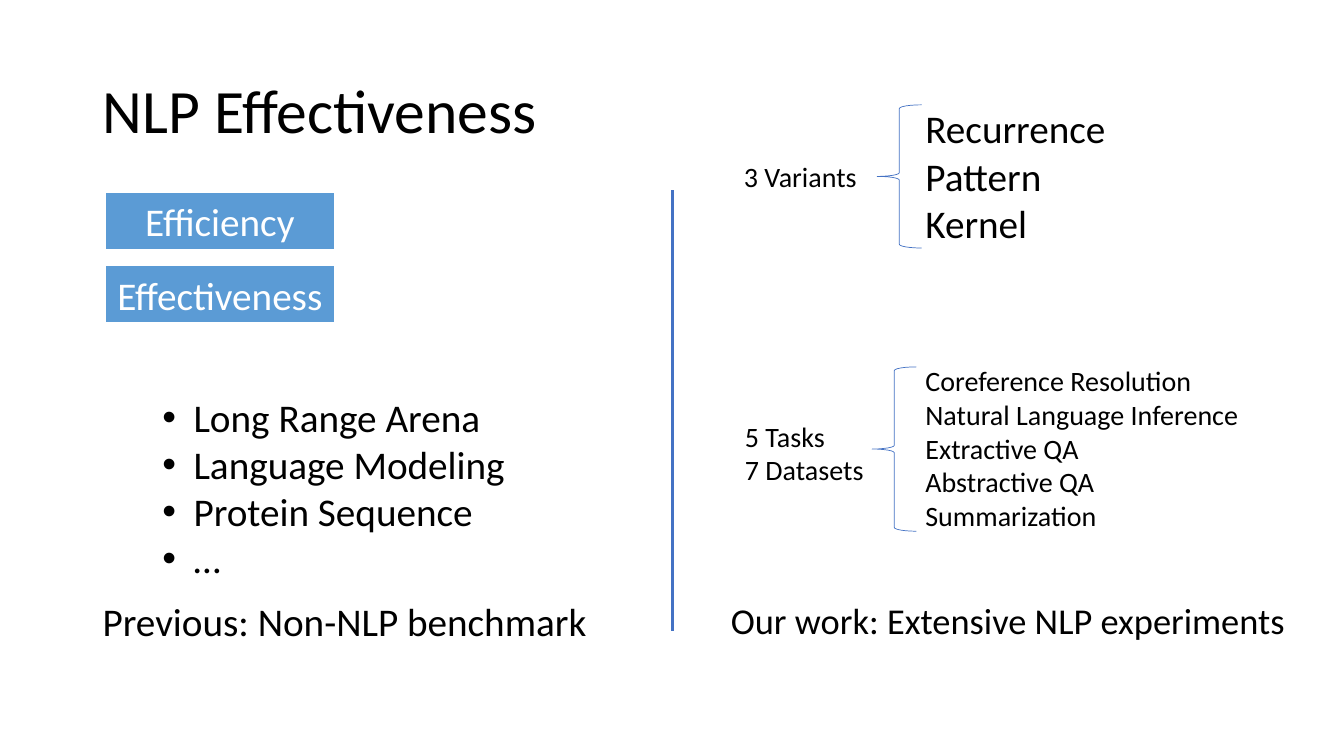
from lxml import etree
from pptx import Presentation
from pptx.dml.color import RGBColor
from pptx.enum.shapes import MSO_CONNECTOR, MSO_SHAPE
from pptx.enum.text import MSO_ANCHOR, MSO_AUTO_SIZE, PP_ALIGN
from pptx.oxml.ns import qn
from pptx.util import Inches, Pt

RECT, BRACE = MSO_SHAPE.RECTANGLE, MSO_SHAPE.LEFT_BRACE
STRAIGHT = MSO_CONNECTOR.STRAIGHT
TOP, MIDDLE = MSO_ANCHOR.TOP, MSO_ANCHOR.MIDDLE
LEFT, CENTER = PP_ALIGN.LEFT, PP_ALIGN.CENTER
NO_FIT = MSO_AUTO_SIZE.NONE

COLORS = {"text": "000000", "white": "FFFFFF", "box": "5B9BD5", "line": "4472C4"}
COLORS = {name: RGBColor.from_string(code) for name, code in COLORS.items()}


def write(shape, text, size=28, color="text", align=LEFT, anchor=TOP,
          wrap=True, spacing=1.0, bullet=False):
    frame = shape.text_frame
    frame.text = text
    frame.word_wrap = wrap
    frame.auto_size = NO_FIT
    frame.vertical_anchor = anchor
    for par in frame.paragraphs:
        if bullet:
            props = par._p.get_or_add_pPr()
            props.set("marL", str(Inches(0.31)))
            props.set("indent", str(Inches(-0.31)))
            etree.SubElement(props, qn("a:buFont"), typeface="Arial")
            etree.SubElement(props, qn("a:buChar"), char="•")
        par.alignment = align
        par.line_spacing = spacing
        par.space_before = Pt(0)
        par.font.name = "Calibri"
        par.font.size = Pt(size)
        par.font.color.rgb = COLORS[color]


def place(shape, *spot):
    """Move and size a placeholder, in inches."""
    shape.left, shape.top, shape.width, shape.height = map(Inches, spot)


prs = Presentation()
prs.slide_width, prs.slide_height = Inches(13.33), Inches(7.5)
slide = prs.slides.add_slide(prs.slide_layouts[1])
shapes = slide.shapes

# Title and list of earlier benchmarks
title, body = shapes.title, slide.placeholders[1]
place(title, 0.92, 0.4, 11.5, 1.45)
write(title, "NLP Effectiveness", size=44, anchor=MIDDLE, spacing=0.9)
place(body, 1.51, 3.85, 3.63, 1.99)
write(body, "Long Range Arena\nLanguage Modeling\nProtein Sequence\n…",
      wrap=False, bullet=True)

# Goal boxes
for row, goal in enumerate(["Efficiency", "Effectiveness"]):
    box = shapes.add_shape(RECT, Inches(1.04), Inches(1.9 + 0.73 * row),
                           Inches(2.28), Inches(0.58))
    box.shadow.inherit = False
    box.fill.solid()
    box.fill.fore_color.rgb = COLORS["box"]
    box.line.color.rgb = COLORS["white"]
    box.line.width = Pt(1.5)
    write(box, goal, color="white", align=CENTER, anchor=MIDDLE)

# Divider between the two halves
rule = shapes.add_connector(STRAIGHT, Inches(6.67), Inches(1.89),
                            Inches(6.67), Inches(6.26))
rule.line.color.rgb = COLORS["line"]
rule.line.width = Pt(1.5)
etree.SubElement(rule._element.spPr, qn("a:effectLst"))

# Braces
for left, top, height in [(8.7, 1.04, 1.42), (8.65, 3.64, 1.63)]:
    brace = shapes.add_shape(BRACE, Inches(left), Inches(top),
                             Inches(0.44), Inches(height))
    brace.shadow.inherit = False
    brace.fill.background()
    brace.line.color.rgb = COLORS["line"]
    brace.line.width = Pt(0.5)

# Captions, brace labels and brace items
tasks = ("Coreference Resolution\nNatural Language Inference\n"
         "Extractive QA\nAbstractive QA\nSummarization")
labels = [
    ("Previous: Non-NLP benchmark", 28, True, (0.92, 5.88, 5.14, 0.57)),
    ("Our work: Extensive NLP experiments", 26, True, (7.15, 5.88, 5.77, 0.54)),
    ("3 Variants", 20, False, (7.28, 1.53, 1.33, 0.44)),
    ("Recurrence\nPattern\nKernel", 28, False, (9.08, 0.99, 2.01, 1.51)),
    ("5 Tasks\n7 Datasets", 20, False, (7.29, 4.11, 1.39, 0.77)),
    (tasks, 20, False, (9.08, 3.56, 3.33, 1.78)),
]
for text, size, wrap, spot in labels:
    write(shapes.add_textbox(*map(Inches, spot)), text, size=size, wrap=wrap)

prs.save("out.pptx")
